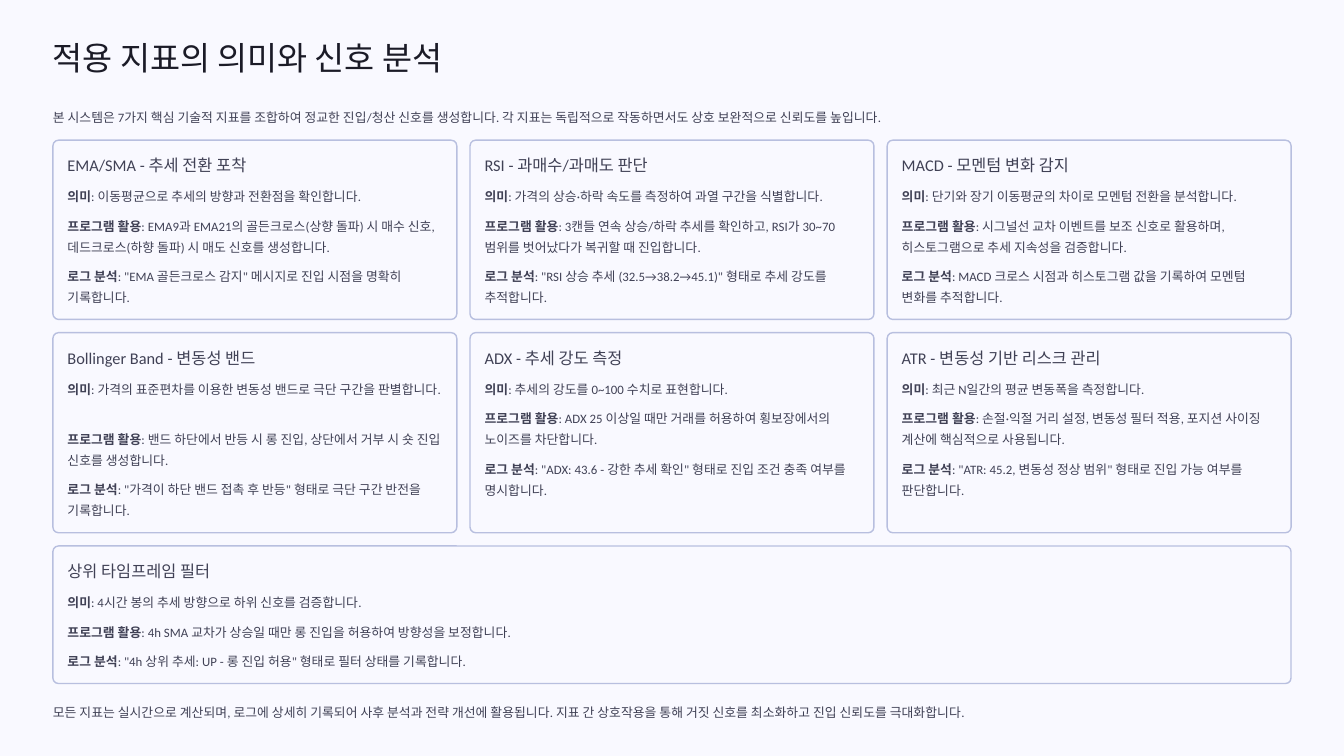
from dataclasses import dataclass

from pptx import Presentation
from pptx.dml.color import RGBColor
from pptx.enum.shapes import MSO_SHAPE
from pptx.enum.text import MSO_ANCHOR, MSO_AUTO_SIZE, PP_ALIGN
from pptx.util import Cm, Pt

ROUND = MSO_SHAPE.ROUNDED_RECTANGLE
TOP = MSO_ANCHOR.TOP
LEFT = PP_ALIGN.LEFT
FIXED = MSO_AUTO_SIZE.NONE

TITLE = '적용 지표의 의미와 신호 분석'
INTRO = '본 시스템은 7가지 핵심 기술적 지표를 조합하여 정교한 진입/청산 신호를 생성합니다. 각 지표는 독립적으로 작동하면서도 상호 보완적으로 신뢰도를 높입니다.'
CLOSE = '모든 지표는 실시간으로 계산되며, 로그에 상세히 기록되어 사후 분석과 전략 개선에 활용됩니다. 지표 간 상호작용을 통해 거짓 신호를 최소화하고 진입 신뢰도를 극대화합니다.'
LABELS = ('의미', '프로그램 활용', '로그 분석')

ROWS = [
    [
        ('EMA/SMA - 추세 전환 포착', (
            (1, '이동평균으로 추세의 방향과 전환점을 확인합니다.'),
            (2, 'EMA9과 EMA21의 골든크로스(상향 돌파) 시 매수 신호, 데드크로스(하향 돌파) 시 매도 신호를 생성합니다.'),
            (2, '"EMA 골든크로스 감지" 메시지로 진입 시점을 명확히 기록합니다.'))),
        ('RSI - 과매수/과매도 판단', (
            (1, '가격의 상승·하락 속도를 측정하여 과열 구간을 식별합니다.'),
            (2, '3캔들 연속 상승/하락 추세를 확인하고, RSI가 30~70 범위를 벗어났다가 복귀할 때 진입합니다.'),
            (2, '"RSI 상승 추세 (32.5→38.2→45.1)" 형태로 추세 강도를 추적합니다.'))),
        ('MACD - 모멘텀 변화 감지', (
            (1, '단기와 장기 이동평균의 차이로 모멘텀 전환을 분석합니다.'),
            (2, '시그널선 교차 이벤트를 보조 신호로 활용하며, 히스토그램으로 추세 지속성을 검증합니다.'),
            (2, 'MACD 크로스 시점과 히스토그램 값을 기록하여 모멘텀 변화를 추적합니다.'))),
    ],
    [
        ('Bollinger Band - 변동성 밴드', (
            (2, '가격의 표준편차를 이용한 변동성 밴드로 극단 구간을 판별합니다.'),
            (2, '밴드 하단에서 반등 시 롱 진입, 상단에서 거부 시 숏 진입 신호를 생성합니다.'),
            (2, '"가격이 하단 밴드 접촉 후 반등" 형태로 극단 구간 반전을 기록합니다.'))),
        ('ADX - 추세 강도 측정', (
            (1, '추세의 강도를 0~100 수치로 표현합니다.'),
            (2, 'ADX 25 이상일 때만 거래를 허용하여 횡보장에서의 노이즈를 차단합니다.'),
            (2, '"ADX: 43.6 - 강한 추세 확인" 형태로 진입 조건 충족 여부를 명시합니다.'))),
        ('ATR - 변동성 기반 리스크 관리', (
            (1, '최근 N일간의 평균 변동폭을 측정합니다.'),
            (2, '손절·익절 거리 설정, 변동성 필터 적용, 포지션 사이징 계산에 핵심적으로 사용됩니다.'),
            (2, '"ATR: 45.2, 변동성 정상 범위" 형태로 진입 가능 여부를 판단합니다.'))),
    ],
    [
        ('상위 타임프레임 필터', (
            (1, '4시간 봉의 추세 방향으로 하위 신호를 검증합니다.'),
            (1, '4h SMA 교차가 상승일 때만 롱 진입을 허용하여 방향성을 보정합니다.'),
            (1, '"4h 상위 추세: UP - 롱 진입 허용" 형태로 필터 상태를 기록합니다.'))),
    ],
]


@dataclass(frozen=True)
class Theme:
    font: str = 'Calibri'
    back: RGBColor = RGBColor(0xF9, 0xF9, 0xFF)
    edge: RGBColor = RGBColor(0xB8, 0xBF, 0xDF)
    dark: RGBColor = RGBColor(0x1B, 0x1B, 0x27)
    ink: RGBColor = RGBColor(0x40, 0x41, 0x55)
    title: tuple = (28, 35)
    head: tuple = (14, 17.5)
    body: tuple = (11, 18)


THEME = Theme()
SIDE, WIDE = 1.6, 37.44
GAP, PAD = 0.4, 0.44
START, HEAD = 4.24, 1.31
LINE, SPACE = 0.63, 0.26
CURVE = 0.17


def write(box, parts, size, color, wrap=False):
    frame = box.text_frame
    frame.margin_left = frame.margin_right = 0
    frame.margin_top = frame.margin_bottom = 0
    frame.auto_size = FIXED
    frame.word_wrap = wrap
    frame.vertical_anchor = TOP
    para = frame.paragraphs[0]
    para.alignment = LEFT
    para.line_spacing = Pt(size[1])
    para.font.name = THEME.font
    para.font.size = Pt(size[0])
    para.font.color.rgb = color
    for text, bold in parts:
        run = para.add_run()
        run.text = text
        if bold:
            run.font.bold = True


def add_text(slide, x, y, w, lines, parts, size):
    box = slide.shapes.add_textbox(Cm(x), Cm(y), Cm(w), Cm(lines * LINE))
    write(box, parts, size, THEME.ink, lines > 1)


def add_card(slide, x, y, w, h, name, items):
    card = slide.shapes.add_shape(ROUND, Cm(x), Cm(y), Cm(w), Cm(h))
    card.adjustments[0] = CURVE / h
    card.shadow.inherit = False
    card.fill.solid()
    card.fill.fore_color.rgb = THEME.back
    card.line.color.rgb = THEME.edge
    card.line.width = Pt(1.2)
    inner = w - 2 * PAD
    add_text(slide, x + PAD, y + PAD, inner, 1, [(name, False)], THEME.head)
    y += HEAD
    for label, (lines, text) in zip(LABELS, items):
        parts = [(label, True), (': ' + text, False)]
        add_text(slide, x + PAD, y, inner, lines, parts, THEME.body)
        y += lines * LINE + SPACE


def main():
    deck = Presentation()
    deck.slide_width, deck.slide_height = Cm(40.64), Cm(22.86)
    slide = deck.slides.add_slide(deck.slide_layouts[5])
    slide.background.fill.solid()
    slide.background.fill.fore_color.rgb = THEME.back

    title = slide.shapes.title
    title.left, title.top = Cm(SIDE), Cm(1.09)
    title.width, title.height = Cm(WIDE), Cm(1.24)
    write(title, [(TITLE, False)], THEME.title, THEME.dark, True)
    add_text(slide, SIDE, 3.15, WIDE, 1, [(INTRO, False)], THEME.body)

    y = START
    for row in ROWS:
        w = (WIDE - GAP * (len(row) - 1)) / len(row)
        most = max(sum(lines for lines, _ in items) for _, items in row)
        h = HEAD + most * LINE + SPACE * (len(LABELS) - 1) + PAD
        for i, (name, items) in enumerate(row):
            add_card(slide, SIDE + i * (w + GAP), y, w, h, name, items)
        y += h + GAP

    add_text(slide, SIDE, 21.13, WIDE, 1, [(CLOSE, False)], THEME.body)
    deck.save("out.pptx")


if __name__ == "__main__":
    main()
